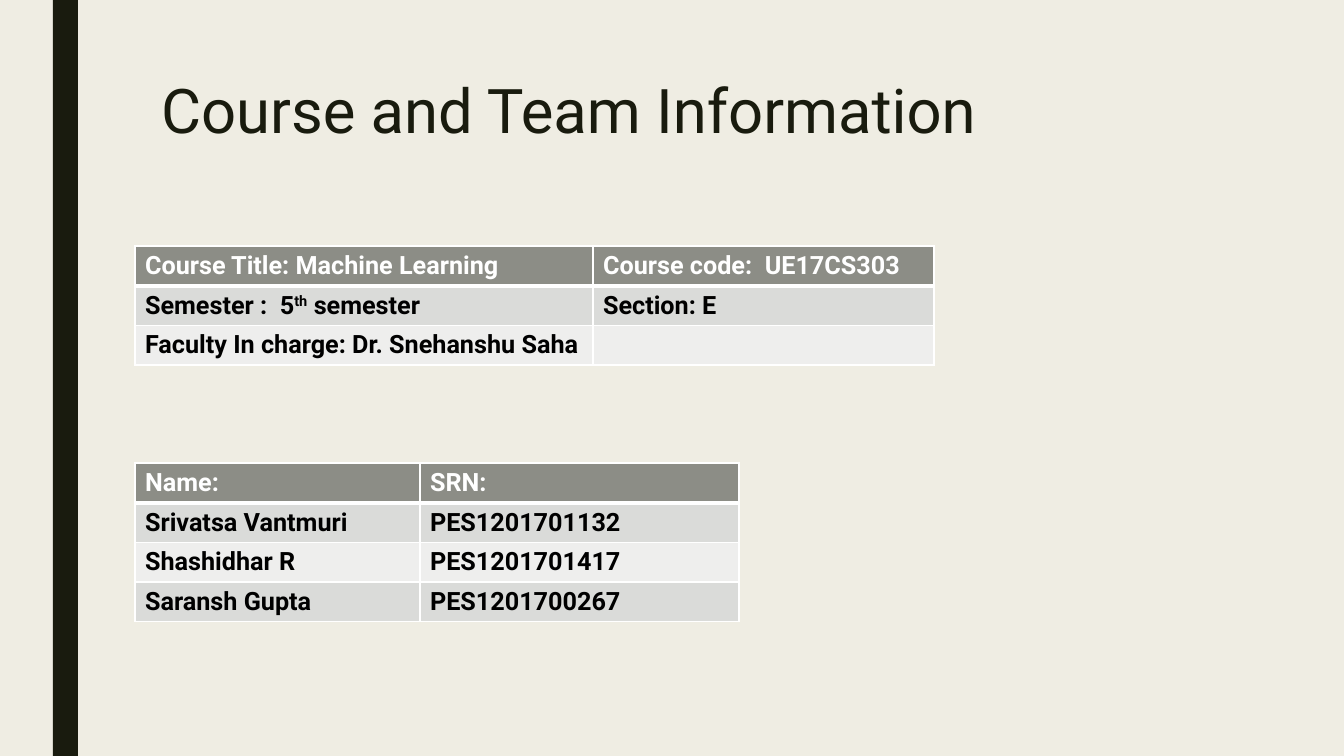
"""Build the course and team information slide."""
from lxml.etree import SubElement
from pptx import Presentation
from pptx.dml.color import RGBColor
from pptx.enum.shapes import MSO_SHAPE
from pptx.enum.text import MSO_ANCHOR, MSO_AUTO_SIZE, PP_ALIGN
from pptx.oxml.ns import qn
from pptx.util import Pt

TITLE = "Course and Team Information"
TABLES = [
    {"top": 246, "cols": [458, 341], "rows": [
        ["Course Title: Machine Learning", "Course code:  UE17CS303"],
        [("Semester :  5", "th", " semester"), "Section: E"],
        ["Faculty In charge: Dr. Snehanshu Saha", ""],
    ]},
    {"top": 463, "cols": [285, 319], "rows": [
        ["Name:", "SRN:"],
        ["Srivatsa Vantmuri", "PES1201701132"],
        ["Shashidhar R", "PES1201701417"],
        ["Saransh Gupta", "PES1201700267"],
    ]},
]
WIDE, HIGH, LEFT, ROW = 1344, 756, 135, 39
FONT, DARK, PAPER, WHITE, BLACK = "Roboto", "191B0E", "EFEDE3", "FFFFFF", "000000"
HEAD, BANDS = "8C8D86", ["DADBD9", "EEEEED"]


def px(count):
    return round(count * 914400 / 100.8)


def paint(fill, color):
    fill.solid()
    fill.fore_color.rgb = RGBColor.from_string(color)


def style(para, size, color, bold=False):
    font = para.font
    font.name, font.size, font.bold = FONT, Pt(size), bold
    font.color.rgb = RGBColor.from_string(color)


def edge(cell, side, width):
    line = SubElement(cell._tc.get_or_add_tcPr(), qn(f"a:ln{side}"), w=str(Pt(width)))
    fill = SubElement(line, qn("a:solidFill"))
    SubElement(fill, qn("a:srgbClr"), val=WHITE)


def write(cell, text, row, count):
    for side in "LRTB":
        thick = (row == 0 and side == "B") or (row == 1 and side == "T")
        edge(cell, side, 3 if thick else 1)
    paint(cell.fill, BANDS[(row - 1) % 2] if row else HEAD)
    para = cell.text_frame.paragraphs[0]
    style(para, 18, BLACK if row else WHITE, True)
    parts = (text,) if isinstance(text, str) else text
    for spot, part in enumerate(parts):
        if part:
            run = para.add_run()
            run.text = part
            if spot == 1:
                run._r.get_or_add_rPr().set("baseline", "30000")


def grid(slide, top, cols, rows):
    frame = slide.shapes.add_table(len(rows), len(cols), px(LEFT), px(top),
                                   px(sum(cols)), px(ROW * len(rows)))
    table = frame.table
    for col, width in zip(table.columns, cols):
        col.width = px(width)
    for r, texts in enumerate(rows):
        for c, text in enumerate(texts):
            write(table.cell(r, c), text, r, len(rows))


def main():
    deck = Presentation()
    deck.slide_width, deck.slide_height = px(WIDE), px(HIGH)
    slide = deck.slides.add_slide(deck.slide_layouts[5])
    paint(slide.background.fill, PAPER)

    bar = slide.shapes.add_shape(MSO_SHAPE.RECTANGLE, px(53), 0, px(25), px(HIGH))
    bar.shadow.inherit = False
    paint(bar.fill, DARK)
    bar.line.fill.background()

    title = slide.shapes.title
    title.left, title.top, title.width, title.height = map(px, (151, 76, 1058, 163))
    frame = title.text_frame
    frame.text = TITLE
    frame.auto_size = MSO_AUTO_SIZE.NONE
    frame.vertical_anchor = MSO_ANCHOR.TOP
    para = frame.paragraphs[0]
    para.alignment, para.line_spacing = PP_ALIGN.LEFT, 0.89
    style(para, 44, DARK)

    for table in TABLES:
        grid(slide, **table)
    deck.save("out.pptx")


if __name__ == "__main__":
    main()
